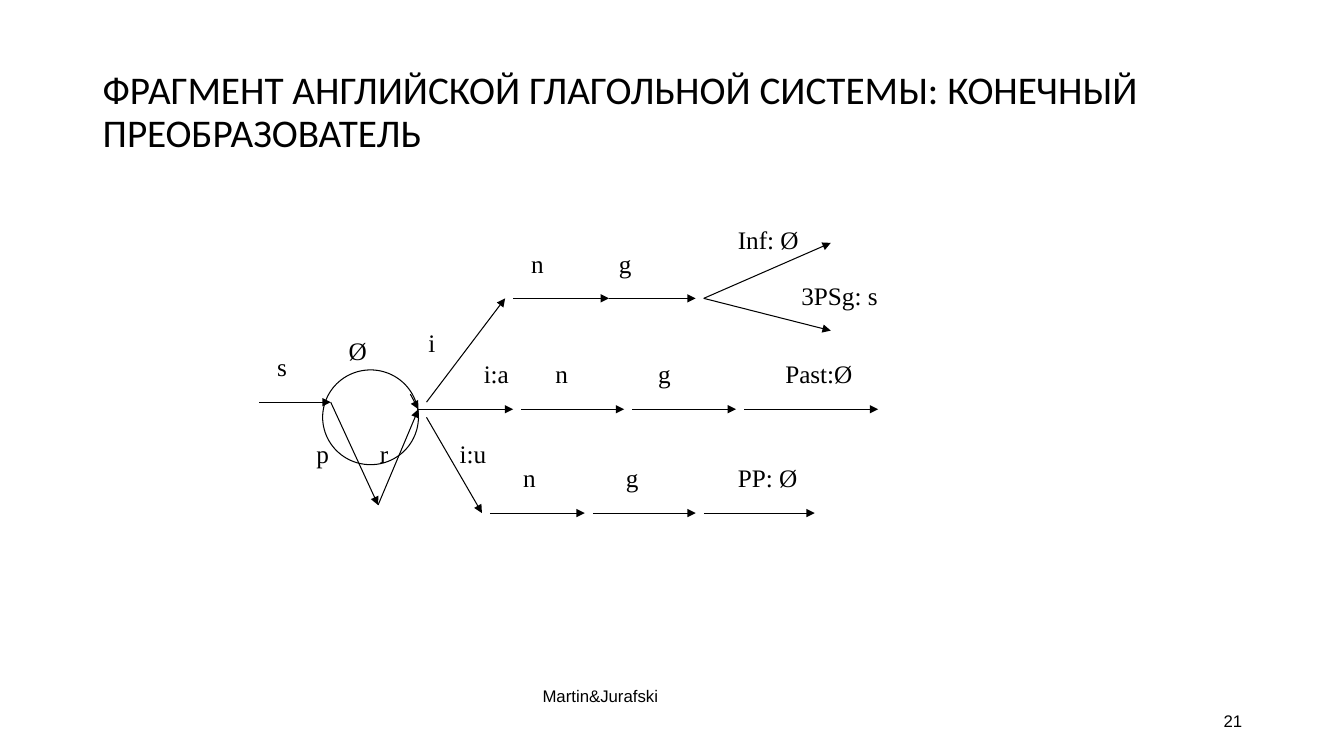
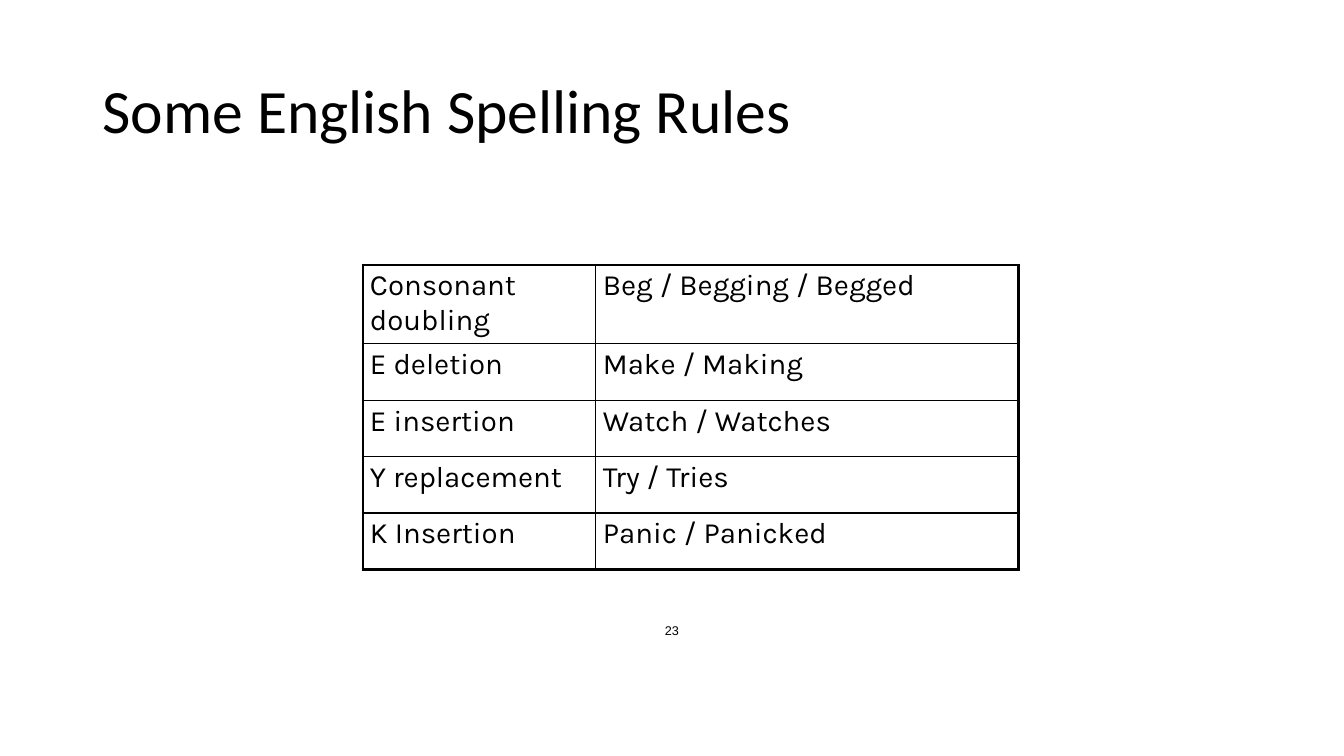
from lxml import etree
from pptx import Presentation
from pptx import util as u
from pptx.dml.color import RGBColor
from pptx.enum import shapes, text
from pptx.oxml import ns

BLACK = "000000"
LEFT, CENTER, RIGHT = text.PP_ALIGN.LEFT, text.PP_ALIGN.CENTER, text.PP_ALIGN.RIGHT
TOP, MIDDLE = text.MSO_ANCHOR.TOP, text.MSO_ANCHOR.MIDDLE

# Shared styles
TITLE_BOX = (0.92, 0.4, 11.5, 1.45)
TITLE_FONT = "Calibri"
FOOTER_FONT = "Arial"
LABEL_FONT = {"name": "Times New Roman", "size": u.Pt(18)}
TABLE_FONT = {"name": "Karla", "size": u.Pt(21)}
THIN, THICK, ARROW_WIDTH = 1, 2.25, 0.75

# Slide 1: finite-state transducer
TRANSDUCER_TITLE = "ФРАГМЕНТ АНГЛИЙСКОЙ ГЛАГОЛЬНОЙ СИСТЕМЫ: КОНЕЧНЫЙ ПРЕОБРАЗОВАТЕЛЬ"
LOOP = (3.2, 3.67, 0.95, 0.94)
# Horizontal arrows: height of the row, then start and end of each arrow
ARROW_ROWS = [
    (3.99, [(2.57, 3.28)]),
    (2.96, [(5.09, 6.04), (6.04, 6.9)]),
    (4.06, [(4.15, 5.09), (5.17, 6.19), (6.27, 7.3), (7.38, 8.71)]),
    (5.09, [(4.86, 5.8), (5.88, 6.9), (6.98, 8.08)]),
]
# Slanted arrows: start point, then the points it leads to
BRANCHES = [
    ((4.23, 3.99), [(5.01, 2.96)]),
    ((4.23, 4.14), [(4.78, 5.09)]),
    ((6.98, 2.96), [(8.24, 2.41), (8.24, 3.28)]),
    ((4.07, 3.91), [(4.15, 4.06)]),
    ((3.28, 3.99), [(3.75, 5.01)]),
    ((3.75, 5.01), [(4.15, 4.06)]),
]
# Labels: top of the row, then left edge and wording of each label
LABEL_ROWS = [
    (2.18, [(7.22, "Inf: Ø")]),
    (2.41, [(5.17, "n"), (6.04, "g")]),
    (2.73, [(7.85, "3PSg: s")]),
    (3.2, [(4.15, "i")]),
    (3.28, [(3.36, "Ø")]),
    (3.44, [(2.65, "s")]),
    (3.51, [(4.7, "i:a"), (5.41, "n"), (6.43, "g"), (7.69, "Past:Ø")]),
    (4.3, [(3.04, "p"), (3.67, "r"), (4.46, "i:u")]),
    (4.54, [(5.09, "n"), (6.11, "g"), (7.22, "PP: Ø")]),
]
LABEL_HEIGHT, SHORT_LABEL, LONG_LABEL = 0.4, 0.47, 1.26

# Slide 2: spelling rules
RULES_TITLE = "Some English Spelling Rules"
RULES = [
    ("Consonant doubling", "Beg / Begging / Begged"),
    ("E deletion", "Make / Making"),
    ("E insertion", "Watch / Watches"),
    ("Y replacement", "Try / Tries"),
    ("K Insertion", "Panic / Panicked"),
]
TABLE_LEFT, TABLE_TOP = 3.6, 2.63
COLUMN_WIDTHS = (2.31, 4.19)
ROW_HEIGHTS = [0.77] + [0.56] * (len(RULES) - 1)


def color(value):
    return RGBColor.from_string(value)


def inches(values):
    return [u.Inches(value) for value in values]


def set_all(target, values):
    for name, value in values.items():
        setattr(target, name, value)


def write(paragraph, wording, font):
    run = paragraph.add_run()
    run.text = wording
    set_all(run.font, font)
    run.font.color.rgb = color(BLACK)


def add_text(slide, box, wording, font, align=LEFT, anchor=TOP, spacing=None):
    frame = slide.shapes.add_textbox(*inches(box)).text_frame
    set_all(frame, {"word_wrap": True, "vertical_anchor": anchor})
    paragraph = frame.paragraphs[0]
    set_all(paragraph, {"alignment": align, "line_spacing": spacing})
    write(paragraph, wording, font)


def add_title(slide, wording, size):
    font = {"name": TITLE_FONT, "size": u.Pt(size)}
    add_text(slide, TITLE_BOX, wording, font, anchor=MIDDLE, spacing=0.9)


def add_footer(slide, box, wording, size, align):
    font = {"name": FOOTER_FONT, "size": u.Pt(size)}
    add_text(slide, box, wording, font, align, MIDDLE)


def set_line(line):
    line.color.rgb = color(BLACK)
    line.width = u.Pt(ARROW_WIDTH)


def add_arrow(slide, start, end):
    arrow = slide.shapes.add_connector(
        shapes.MSO_CONNECTOR.STRAIGHT, *inches(start + end))
    set_line(arrow.line)
    etree.SubElement(arrow.line._get_or_add_ln(), ns.qn("a:tailEnd"), type="triangle")
    etree.SubElement(arrow._element.spPr, ns.qn("a:effectLst"))


def set_borders(cell, widths):
    """Draw the cell's left, right, top and bottom lines, in that order."""
    properties = cell._tc.get_or_add_tcPr()
    for position, (side, width) in enumerate(zip("LRTB", widths)):
        line = etree.Element(ns.qn(f"a:ln{side}"), w=str(u.Pt(width)))
        fill = etree.SubElement(line, ns.qn("a:solidFill"))
        etree.SubElement(fill, ns.qn("a:srgbClr"), val=BLACK)
        properties.insert(position, line)


def build_transducer(slide):
    add_title(slide, TRANSDUCER_TITLE, 28)
    add_footer(slide, (2.17, 6.64, 7.57, 0.52), "Martin&Jurafski", 12, CENTER)
    add_footer(slide, (9.42, 6.95, 3, 0.4), "21", 12, RIGHT)

    # Loop
    loop = slide.shapes.add_shape(shapes.MSO_SHAPE.OVAL, *inches(LOOP))
    loop.shadow.inherit = False
    loop.fill.background()
    set_line(loop.line)

    # Arrows
    for y, spans in ARROW_ROWS:
        for start, end in spans:
            add_arrow(slide, (start, y), (end, y))
    for start, ends in BRANCHES:
        for end in ends:
            add_arrow(slide, start, end)

    # Labels
    for top, labels in LABEL_ROWS:
        for left, wording in labels:
            width = SHORT_LABEL if len(wording) <= 3 else LONG_LABEL
            add_text(slide, (left, top, width, LABEL_HEIGHT), wording, LABEL_FONT)


def build_rules(slide):
    add_title(slide, RULES_TITLE, 44)
    add_footer(slide, (5.08, 6.06, 3.17, 0.39), "23", 9, CENTER)

    # Table
    box = (TABLE_LEFT, TABLE_TOP, sum(COLUMN_WIDTHS), sum(ROW_HEIGHTS))
    table = slide.shapes.add_table(len(RULES), len(COLUMN_WIDTHS), *inches(box)).table
    set_all(table, {"first_row": False, "horz_banding": False})
    for column, width in zip(table.columns, COLUMN_WIDTHS):
        column.width = u.Inches(width)
    for row, height in zip(table.rows, ROW_HEIGHTS):
        row.height = u.Inches(height)

    # Cells, with thick lines on the outer edge
    margins = {"margin_left": 0.07, "margin_right": 0.07,
               "margin_top": 0.04, "margin_bottom": 0.04}
    last_row, last_column = len(RULES) - 1, len(COLUMN_WIDTHS) - 1
    for r, rule in enumerate(RULES):
        for c, wording in enumerate(rule):
            cell = table.cell(r, c)
            cell.fill.background()
            set_all(cell, {name: u.Inches(size) for name, size in margins.items()})
            write(cell.text_frame.paragraphs[0], wording, TABLE_FONT)
            outer = (c == 0, c == last_column, r == 0, r == last_row)
            set_borders(cell, [THICK if edge else THIN for edge in outer])


def main():
    presentation = Presentation()
    set_all(presentation, {"slide_width": u.Inches(13.33), "slide_height": u.Inches(7.5)})
    for build in (build_transducer, build_rules):
        build(presentation.slides.add_slide(presentation.slide_layouts[6]))
    presentation.save("out.pptx")


if __name__ == "__main__":
    main()
